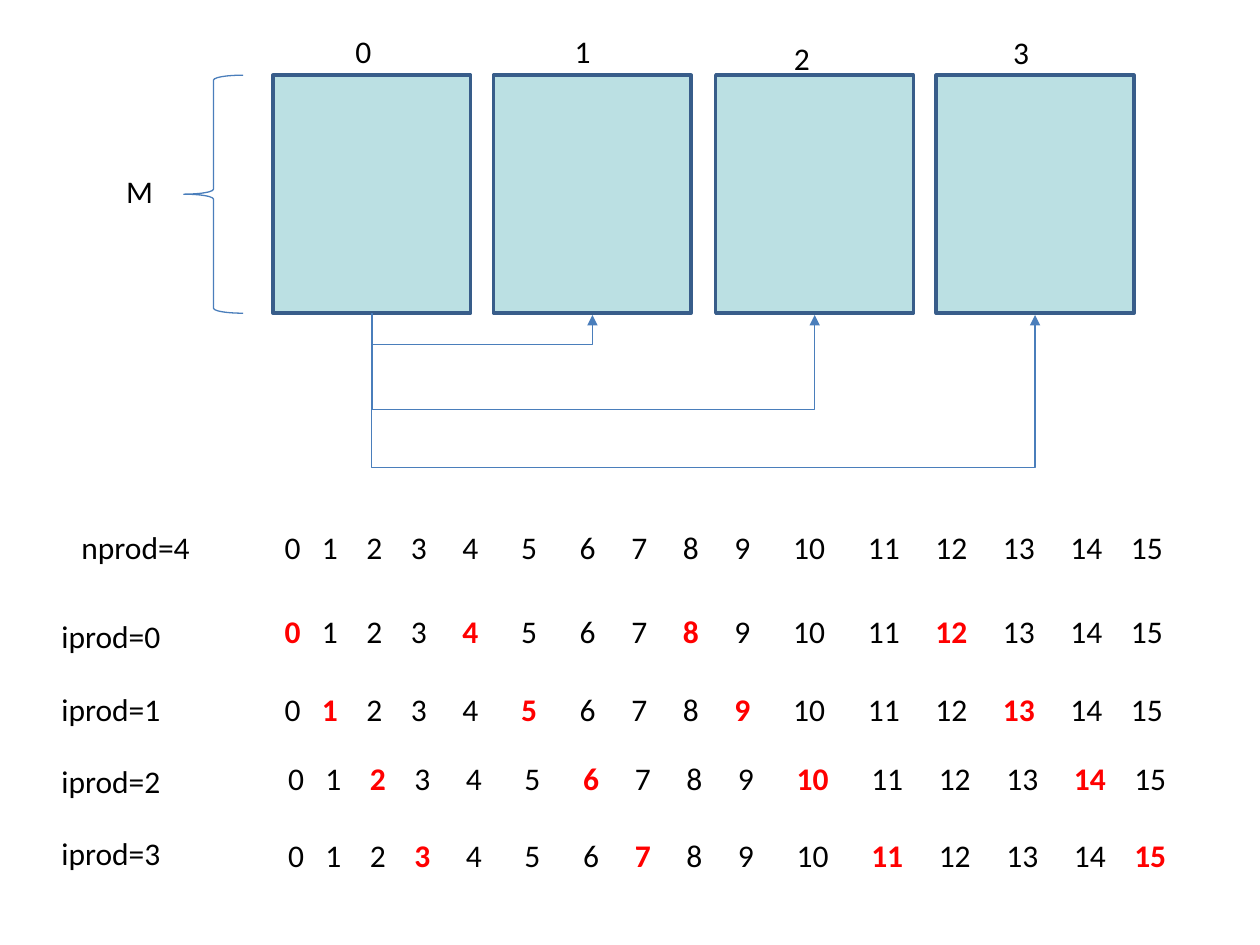
from lxml.etree import SubElement
from pptx import Presentation
from pptx.dml.color import RGBColor
from pptx.enum.shapes import MSO_CONNECTOR, MSO_SHAPE
from pptx.enum.text import MSO_AUTO_SIZE
from pptx.oxml.ns import qn
from pptx.util import Pt

COLORS = {"panel": "BBE0E3", "border": "385D8A", "link": "4A7EBB",
          "text": "000000", "owned": "FF0000"}
TEXT_FORMAT = {"name": "Calibri", "size": Pt(18)}
FRAME_FORMAT = {"word_wrap": True, "auto_size": MSO_AUTO_SIZE.SHAPE_TO_FIT_TEXT}

# Buffer panels, in points
PANEL_LEFTS = [156, 282, 409, 535]
PANEL_TOP, PANEL_WIDTH, PANEL_HEIGHT = 43, 113, 136
LABEL_TOPS = [14.5, 14.5, 19, 15.5]
LINK_DROPS = [18, 55.5, 89]

# Number rows: gaps between numbers are counted in space widths
DIGIT_WIDTH, SPACE_WIDTH = 9.12, 4.07
GAPS = [3, 4, 4, 5, 6, 6, 5, 5, 5, 6, 6, 5, 5, 5, 4]
PRODUCERS = 4
# Label top, row left, row top
ROWS = [(349, 155.5, 346), (391, 155.5, 391), (432, 157.5, 430), (473, 157.5, 474)]


def color(name):
    return RGBColor.from_string(COLORS[name])


def add_span(para, text, color_name="text", bold=False):
    span = para.add_run()
    span.text = text
    for key, value in {**TEXT_FORMAT, "bold": bold}.items():
        setattr(span.font, key, value)
    span.font.color.rgb = color(color_name)


def add_box(page, left, top, width):
    box = page.shapes.add_textbox(Pt(left), Pt(top), Pt(width), Pt(29))
    for key, value in FRAME_FORMAT.items():
        setattr(box.text_frame, key, value)
    return box.text_frame.paragraphs[0]


def add_label(page, text, left, top, width):
    add_span(add_box(page, left, top, width), text)


def add_panel(page, left):
    panel = page.shapes.add_shape(MSO_SHAPE.RECTANGLE, Pt(left), Pt(PANEL_TOP),
                                  Pt(PANEL_WIDTH), Pt(PANEL_HEIGHT))
    panel.shadow.inherit = False
    panel.fill.solid()
    panel.fill.fore_color.rgb = color("panel")
    panel.line.color.rgb = color("border")
    panel.line.width = Pt(2)


def add_brace(page):
    brace = page.shapes.add_shape(MSO_SHAPE.LEFT_BRACE, Pt(105), Pt(PANEL_TOP),
                                  Pt(34), Pt(PANEL_HEIGHT))
    brace.shadow.inherit = False
    brace.fill.background()
    brace.line.color.rgb = color("link")
    brace.line.width = Pt(0.75)


def add_link(page, start, end, drop):
    """Elbow arrow that drops below the panels and rises to the end panel."""
    span, depth = end - start, 1
    middle_x, middle_y = (start + end) / 2, PANEL_TOP + PANEL_HEIGHT + depth / 2
    left, top = middle_x - depth / 2, middle_y - span / 2
    link = page.shapes.add_connector(MSO_CONNECTOR.ELBOW, Pt(left), Pt(top),
                                     Pt(left + depth), Pt(top + span))
    link.line.color.rgb = color("link")
    link.line.width = Pt(0.75)
    properties = link._element.spPr
    # A quarter turn makes the elbow run down, across and up
    frame = properties.find(qn("a:xfrm"))
    frame.set("rot", "16200000")
    frame.set("flipH", "1")
    guides = properties.find(qn("a:prstGeom")).find(qn("a:avLst"))
    SubElement(guides, qn("a:gd"), name="adj1",
               fmla=f"val {round(drop / depth * 100000)}")
    SubElement(properties.find(qn("a:ln")), qn("a:tailEnd"), type="triangle")
    SubElement(properties, qn("a:effectLst"))


def add_tabs(para):
    tabs = SubElement(para._p.get_or_add_pPr(), qn("a:tabLst"))
    position = 0
    for number, gap in enumerate(GAPS):
        position += len(str(number)) * DIGIT_WIDTH + gap * SPACE_WIDTH
        SubElement(tabs, qn("a:tab"), pos=str(Pt(position)), algn="l")


def add_numbers(page, left, top, producer=None):
    para = add_box(page, left, top, 533)
    add_tabs(para)
    for number in range(len(GAPS) + 1):
        if number:
            add_span(para, "\t")
        owned = number % PRODUCERS == producer
        add_span(para, str(number), "owned" if owned else "text", owned)


def main():
    deck = Presentation()
    deck.slide_width, deck.slide_height = Pt(720), Pt(540)
    page = deck.slides.add_slide(deck.slide_layouts[6])

    # Panels with their numbers and the size brace
    for index, (left, label_top) in enumerate(zip(PANEL_LEFTS, LABEL_TOPS)):
        add_panel(page, left)
        add_label(page, str(index), 196 + 125.3 * index, label_top, 34)
    add_brace(page)
    add_label(page, "M", 65, 94.5, 39.5)

    # Arrows from the first panel to the others
    first, *others = [left + PANEL_WIDTH / 2 for left in PANEL_LEFTS]
    for center, drop in zip(others, LINK_DROPS):
        add_link(page, first, center, drop)

    # All numbers, then the share of each producer
    add_label(page, f"nprod={PRODUCERS}", 39.5, 298, 91)
    add_numbers(page, 155.5, 298)
    for producer, (label_top, left, top) in enumerate(ROWS):
        add_label(page, f"iprod={producer}", 28, label_top, 91)
        add_numbers(page, left, top, producer)

    deck.save("out.pptx")


if __name__ == "__main__":
    main()
